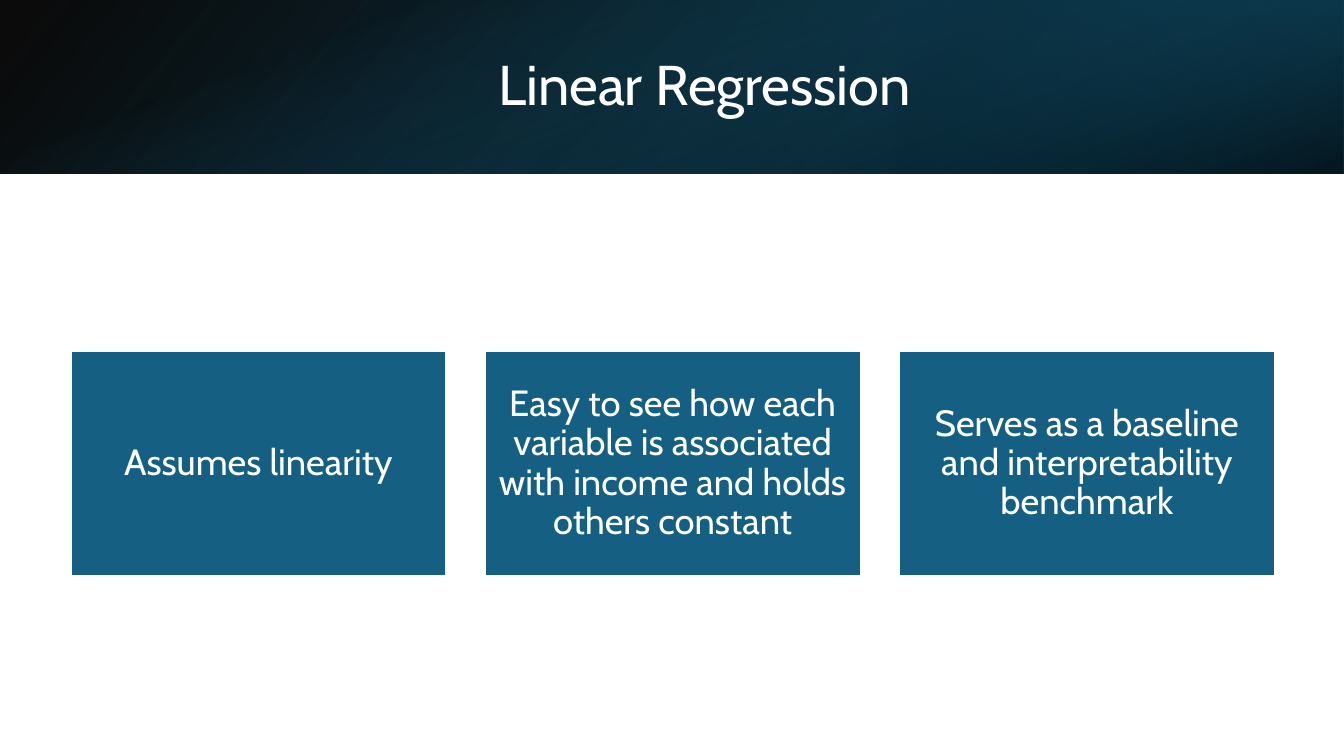
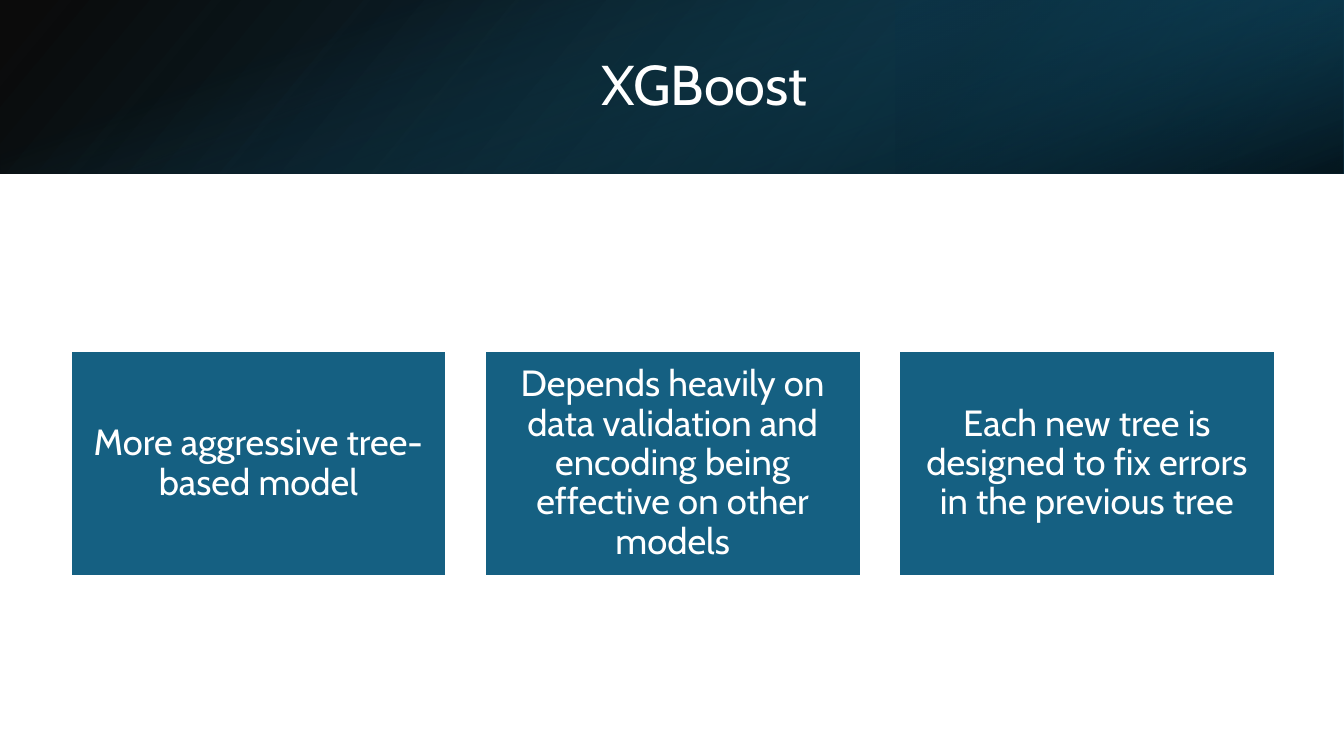
from lxml.etree import SubElement as Sub
from pptx import Presentation as Deck
from pptx.dml.color import RGBColor as Rgb
from pptx.enum.shapes import MSO_SHAPE as Form
from pptx.enum.text import MSO_ANCHOR as Anchor, MSO_AUTO_SIZE as Fit, PP_ALIGN as Align
from pptx.oxml.ns import qn
from pptx.util import Cm, Pt

HUES = {"white": "FFFFFF", "black": "000000", "teal": "156082",
        "deep": "104862", "night": "0B3041"}
FONT = "Cabin"
WIDE, HIGH = 33.87, 19.05
BAND = (0, 0, WIDE, 4.37)
HEAD = (3.81, 0.97, 27.89, 2.44)
ROW = (1.78, 8.84, 30.35, 5.69)
GAP = 0.97
TALKS = [
    ("Linear Regression", [
        "Assumes linearity",
        "Easy to see how each variable is associated with income and holds others constant",
        "Serves as a baseline and interpretability benchmark"]),
    ("XGBoost", [
        "More aggressive tree-based model",
        "Depends heavily on data validation and encoding being effective on other models",
        "Each new tree is designed to fix errors in the previous tree"]),
]


def hue(name):
    """Return the named colour."""
    return Rgb.from_string(HUES[name])


def rect(slide, box):
    """Add a plain rectangle without shadow or outline."""
    shape = slide.shapes.add_shape(Form.RECTANGLE, *map(Cm, box))
    shape.shadow.inherit = False
    shape.line.fill.background()
    return shape


def blend(shape, angle, stops):
    """Fill a shape with a clockwise gradient of (place, colour, opacity) stops."""
    shape.fill.gradient()
    shape.fill.gradient_angle = 360 - angle
    for stop, (place, name, _) in zip(shape.fill.gradient_stops, stops):
        stop.position = place / 100
        stop.color.rgb = hue(name)
    tints = shape.element.spPr.find(qn("a:gradFill")).iter(qn("a:srgbClr"))
    for tint, (_, _, shown) in zip(list(tints), stops):
        Sub(tint, qn("a:alpha")).set("val", str(shown * 1000))


def flip(shape):
    """Mirror a shape left to right."""
    shape.element.spPr.find(qn("a:xfrm")).set("flipH", "1")


def band(slide, box):
    """Layer three gradients into the header band."""
    x, y, w, h = box
    base = rect(slide, box)
    flip(base)
    blend(base, 140, [(0, "black", 96), (100, "deep", 100)])
    side = rect(slide, (x + w * 2 / 3, y, w / 3, h))
    flip(side)
    side.rotation = 180
    blend(side, 320, [(19, "night", 68), (100, "teal", 79)])
    shift = (w - h) / 2
    shade = rect(slide, (x + shift, y - shift, h, w))
    shade.rotation = 90
    blend(shade, 340, [(23, "teal", 0), (99, "black", 74)])


def write(shape, text, size):
    """Set centred white text in a shape."""
    frame = shape.text_frame
    frame.word_wrap = True
    frame.auto_size = Fit.NONE
    frame.vertical_anchor = Anchor.MIDDLE
    para = frame.paragraphs[0]
    para.alignment = Align.CENTER
    para.line_spacing = 0.9
    run = para.add_run()
    run.text = text
    run.font.name = FONT
    run.font.size = Pt(size)
    run.font.color.rgb = hue("white")


def head(slide, box, text):
    """Place the title above the band."""
    title = slide.shapes.title
    title.left, title.top, title.width, title.height = map(Cm, box)
    write(title, text, 40)
    title.element.getparent().append(title.element)


def cards(slide, box, notes):
    """Spread one card per note evenly across the box."""
    x, y, w, h = box
    span = (w - GAP * (len(notes) - 1)) / len(notes)
    for i, note in enumerate(notes):
        card = rect(slide, (x + i * (span + GAP), y, span, h))
        card.fill.solid()
        card.fill.fore_color.rgb = hue("teal")
        card.line.color.rgb = hue("white")
        card.line.width = Pt(1.5)
        frame = card.text_frame
        frame.margin_left = frame.margin_right = Cm(0.28)
        frame.margin_top = frame.margin_bottom = Cm(0.28)
        write(card, note, 26)


def main():
    """Build and save the deck."""
    deck = Deck()
    deck.slide_width, deck.slide_height = Cm(WIDE), Cm(HIGH)
    for name, notes in TALKS:
        slide = deck.slides.add_slide(deck.slide_layouts[5])
        band(slide, BAND)
        head(slide, HEAD, name)
        cards(slide, ROW, notes)
    deck.save("out.pptx")


if __name__ == "__main__":
    main()
